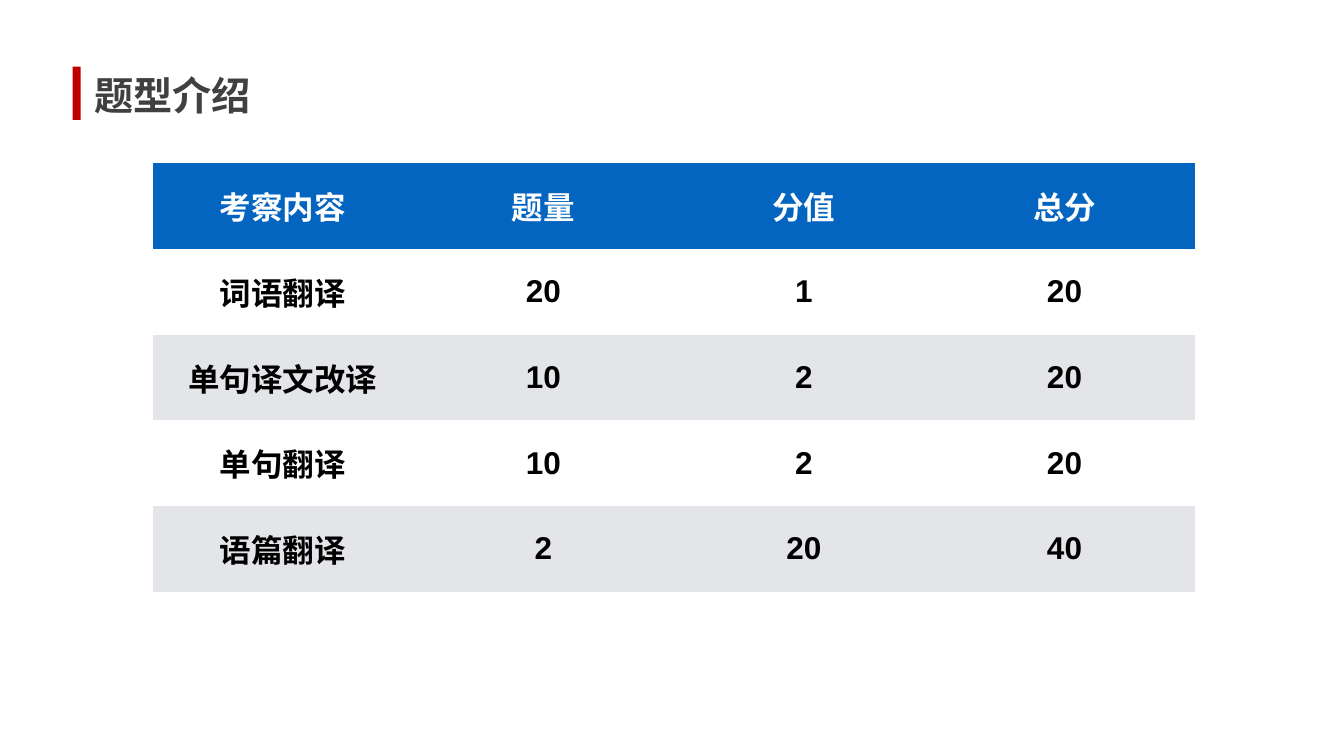
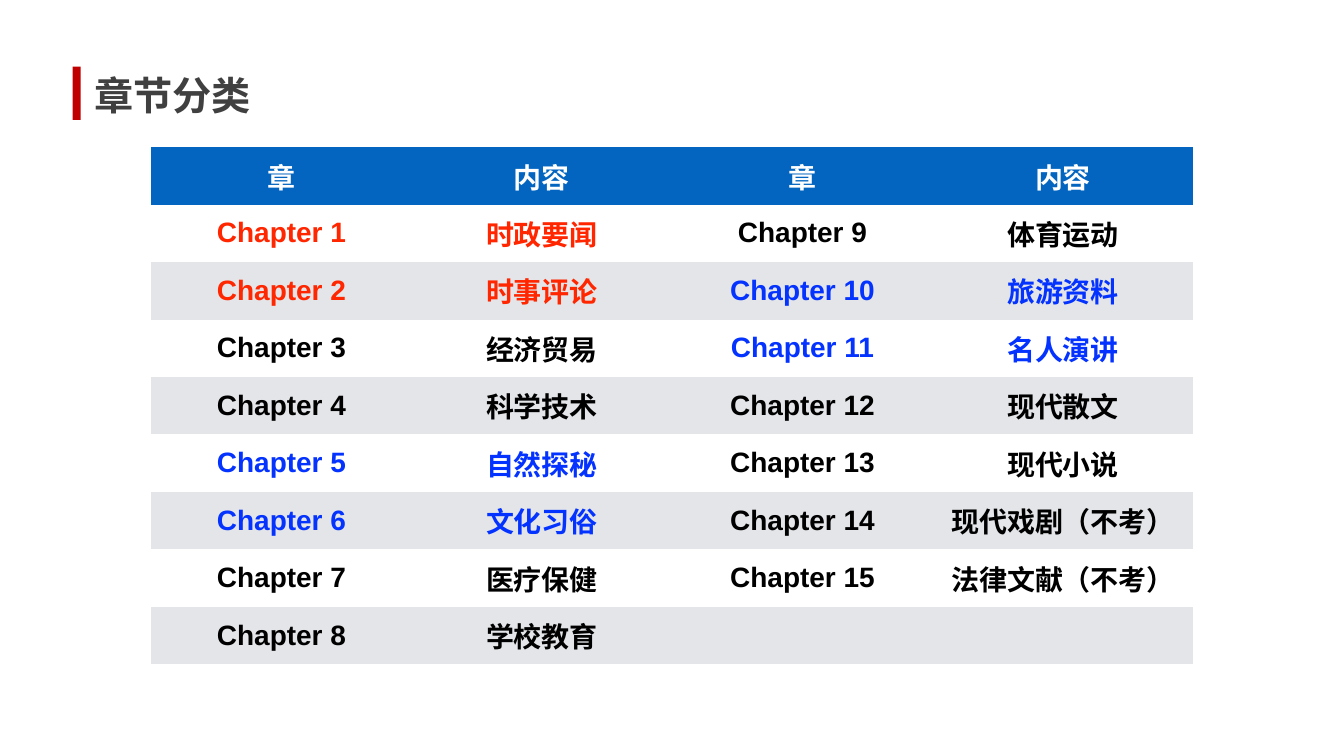
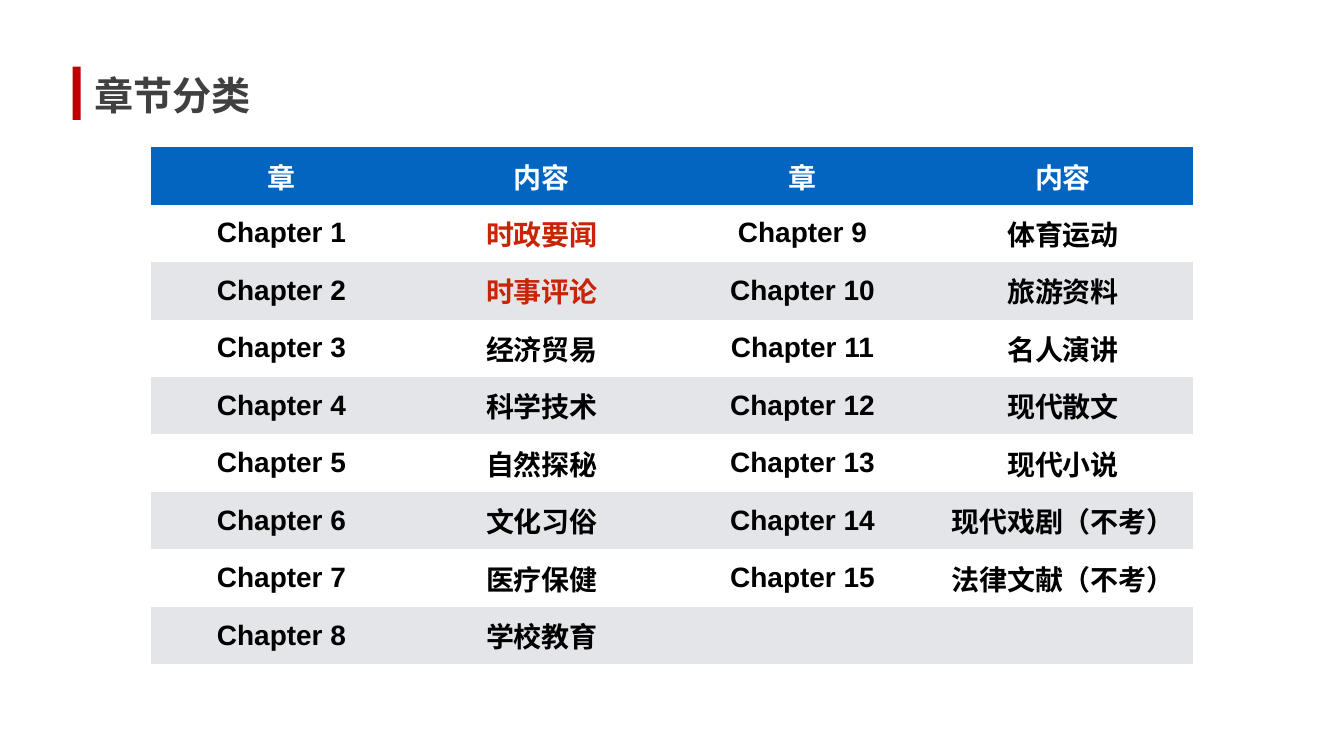
import pptx
import pptx.dml.color
import pptx.enum.shapes
import pptx.enum.text
import pptx.oxml.ns
import pptx.util
import lxml.etree

Inches = pptx.util.Inches
Pt = pptx.util.Pt
qn = pptx.oxml.ns.qn
ALIGN = pptx.enum.text.PP_ALIGN
ANCHOR = pptx.enum.text.MSO_ANCHOR

HUES = {
    "bar": "C00000", "title": "404040", "head": "0365C0",
    "white": "FFFFFF", "band": "E3E5E8", "text": "000000",
    "red": "FF2600", "blue": "0433FF", "brick": "C82506",
}
HAN = "Noto Sans CJK SC"
LATIN = "Arial"
PLAIN = "{2D5ABB26-0587-4C30-8999-92F81FD0307C}"
COLUMN = 5.17

EXAM = [
    ["考察内容", "题量", "分值", "总分"],
    ["词语翻译", "20", "1", "20"],
    ["单句译文改译", "10", "2", "20"],
    ["单句翻译", "10", "2", "20"],
    ["语篇翻译", "2", "20", "40"],
]
TOPICS = [
    "时政要闻", "时事评论", "经济贸易", "科学技术", "自然探秘",
    "文化习俗", "医疗保健", "学校教育", "体育运动", "旅游资料",
    "名人演讲", "现代散文", "现代小说", "现代戏剧（不考）", "法律文献（不考）",
]
HALF = 8


def paint(name):
    return pptx.dml.color.RGBColor.from_string(HUES[name])


def add_run(para, text, size, face, hue):
    run = para.add_run()
    run.text = text
    font = run.font
    font.size = Pt(size)
    font.bold = True
    font.name = face
    font.color.rgb = paint(hue)
    east = lxml.etree.Element(qn("a:ea"), typeface=HAN)
    run.font._element.find(qn("a:latin")).addnext(east)


def add_bar(slide):
    bar = slide.shapes.add_shape(
        pptx.enum.shapes.MSO_SHAPE.RECTANGLE,
        Inches(1.44), Inches(1.32), Inches(0.16), Inches(1.06))
    bar.shadow.inherit = False
    bar.fill.solid()
    bar.fill.fore_color.rgb = paint("bar")
    bar.line.fill.background()


def set_title(slide, text):
    title = slide.shapes.title
    title.left, title.top = Inches(1.77), Inches(1.31)
    title.width, title.height = Inches(17.06), Inches(1.28)
    frame = title.text_frame
    frame.margin_left = frame.margin_right = Inches(0.1)
    frame.margin_top = frame.margin_bottom = Inches(0.1)
    frame.word_wrap = True
    frame.auto_size = pptx.enum.text.MSO_AUTO_SIZE.SHAPE_TO_FIT_TEXT
    frame.vertical_anchor = ANCHOR.TOP
    para = frame.paragraphs[0]
    para.alignment = ALIGN.LEFT
    add_run(para, text, 56, HAN, "title")


def add_slide(deck, text):
    slide = deck.slides.add_slide(deck.slide_layouts[5])
    add_bar(slide)
    set_title(slide, text)
    return slide


def fill_cell(cell, text, size, back, hue):
    cell.fill.solid()
    cell.fill.fore_color.rgb = paint(back)
    cell.vertical_anchor = ANCHOR.MIDDLE
    cell.margin_left = cell.margin_right = Inches(0.06)
    cell.margin_top = cell.margin_bottom = Inches(0.06)
    if text:
        para = cell.text_frame.paragraphs[0]
        para.alignment = ALIGN.CENTER
        add_run(para, text, size, LATIN, hue)


def add_grid(slide, rows, left, top, height, size, marks):
    width, total = Inches(22.4), Inches(10.78)
    frame = slide.shapes.add_table(
        len(rows), len(rows[0]), Inches(left), Inches(top), width, total)
    grid = frame.table
    next(frame._element.iter(qn("a:tableStyleId"))).text = PLAIN
    for column in grid.columns:
        column.width = Inches(COLUMN)
    for r, row in enumerate(rows):
        grid.rows[r].height = Inches(height)
        back = "head" if r == 0 else "white" if r % 2 else "band"
        base = "white" if r == 0 else "text"
        for c, text in enumerate(row):
            fill_cell(grid.cell(r, c), text, size, back, marks.get(text, base))
    frame.width, frame.height = width, total


def list_rows():
    pairs = [[f"Chapter {n}", topic] for n, topic in enumerate(TOPICS, 1)]
    pairs += [["", ""]] * (2 * HALF - len(pairs))
    body = [pairs[n] + pairs[n + HALF] for n in range(HALF)]
    return [["章", "内容"] * 2] + body


def mark_pairs(hues):
    marks = {}
    for n, hue in hues.items():
        marks[f"Chapter {n}"] = marks[TOPICS[n - 1]] = hue
    return marks


def add_list(deck, marks):
    slide = add_slide(deck, "章节分类")
    add_grid(slide, list_rows(), 3, 2.92, 1.14, 40, marks)


def main():
    deck = pptx.Presentation()
    deck.slide_width, deck.slide_height = Inches(26.67), Inches(15)
    slide = add_slide(deck, "题型介绍")
    add_grid(slide, EXAM, 3.03, 3.24, 1.7, 45, {})
    add_list(deck, mark_pairs({1: "red", 2: "red", 5: "blue", 6: "blue",
                               10: "blue", 11: "blue"}))
    add_list(deck, dict.fromkeys(TOPICS[:2], "brick"))
    deck.save("out.pptx")


if __name__ == "__main__":
    main()
